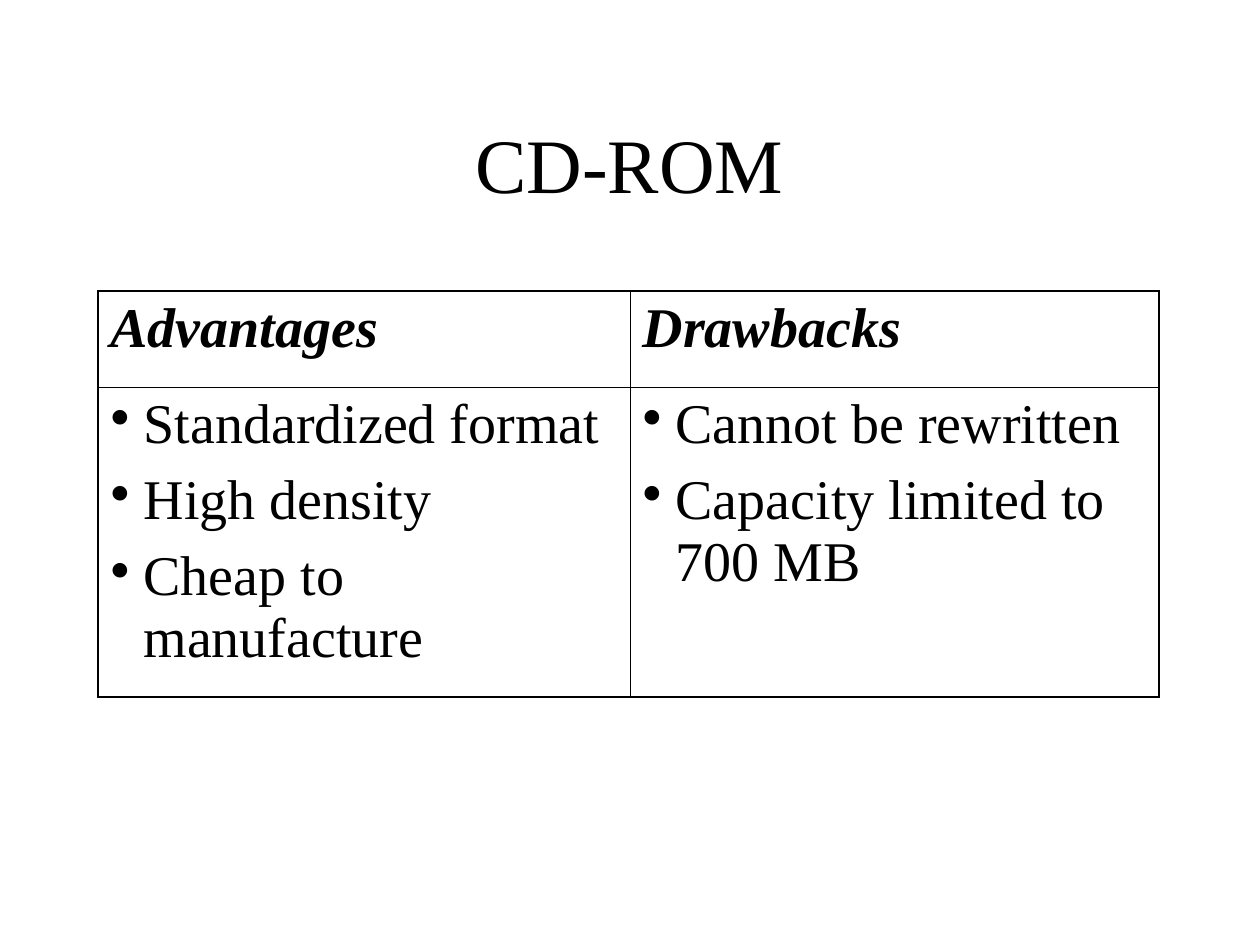
from lxml.etree import SubElement
from pptx import Presentation
from pptx.dml.color import RGBColor
from pptx.enum.text import MSO_ANCHOR, PP_ALIGN
from pptx.oxml.ns import qn
from pptx.util import Pt

SCALE = 914400 / 126
FONT = "Times New Roman"
COLORS = {"ink": "000000", "paper": "FFFFFF"}
OUTER, INNER = 1.08, 0.45
COLUMNS = {
    "Advantages": ["Standardized format", "High density", "Cheap to manufacture"],
    "Drawbacks": ["Cannot be rewritten", "Capacity limited to 700 MB"],
}


def px(length):
    """Turn pixels into EMU."""
    return round(length * SCALE)


def style_font(paragraph, size, emphasis=False):
    """Set the typeface, size and emphasis of a paragraph."""
    font = paragraph.font
    font.name, font.size = FONT, Pt(size)
    font.bold = font.italic = emphasis
    font.color.rgb = RGBColor.from_string(COLORS["ink"])


def add_bullet(paragraph, indent):
    """Give a paragraph a hanging round bullet."""
    properties = paragraph._p.get_or_add_pPr()
    properties.set("marL", str(px(indent)))
    properties.set("indent", str(-px(indent)))
    color = SubElement(properties, qn("a:buClr"))
    SubElement(color, qn("a:srgbClr"), val=COLORS["ink"])
    SubElement(properties, qn("a:buChar"), char="•")


def set_borders(cell, widths):
    """Draw the borders of a cell, given point widths by side."""
    properties = cell._tc.get_or_add_tcPr()
    for side, width in widths.items():
        line = SubElement(properties, qn(f"a:ln{side}"), w=str(Pt(width)))
        fill = SubElement(line, qn("a:solidFill"))
        SubElement(fill, qn("a:srgbClr"), val=COLORS["ink"])


def fill_cell(cell, lines, header):
    """Write a heading or a bulleted list into a cell."""
    frame = cell.text_frame
    frame.text = "\n".join(lines)
    for index, paragraph in enumerate(frame.paragraphs):
        if not header:
            add_bullet(paragraph, 33)
        if index:
            paragraph.space_before = Pt(8)
        style_font(paragraph, 32, header)


def place_title(slide, text, left, top, width, height):
    """Place and format the slide title."""
    title = slide.shapes.title
    title.left, title.top, title.width, title.height = map(px, (left, top, width, height))
    frame = title.text_frame
    frame.text = text
    frame.vertical_anchor = MSO_ANCHOR.MIDDLE
    paragraph = frame.paragraphs[0]
    paragraph.alignment = PP_ALIGN.CENTER
    style_font(paragraph, 44)


def add_comparison(slide, left, top, widths, heights):
    """Add the table that sets advantages against drawbacks."""
    box = map(px, (left, top, sum(widths), sum(heights)))
    table = slide.shapes.add_table(len(heights), len(widths), *box).table
    table.first_row = table.horz_banding = False
    for row, height in zip(table.rows, heights):
        row.height = px(height)
    for index, (heading, points) in enumerate(COLUMNS.items()):
        table.columns[index].width = px(widths[index])
        for row, lines in enumerate(([heading], points)):
            cell = table.cell(row, index)
            set_borders(cell, {
                "L": INNER if index else OUTER,
                "R": OUTER if index else INNER,
                "T": INNER if row else OUTER,
                "B": OUTER if row else INNER,
            })
            cell.fill.solid()
            cell.fill.fore_color.rgb = RGBColor.from_string(COLORS["paper"])
            fill_cell(cell, lines, header=row == 0)


def main():
    """Build and save the slide."""
    presentation = Presentation()
    presentation.slide_width, presentation.slide_height = px(1260), px(945)
    slide = presentation.slides.add_slide(presentation.slide_layouts[5])
    place_title(slide, "CD-ROM", 94, 84, 1071, 158)
    add_comparison(slide, 98, 291, (532, 529), (96, 310))
    presentation.save("out.pptx")


if __name__ == "__main__":
    main()
